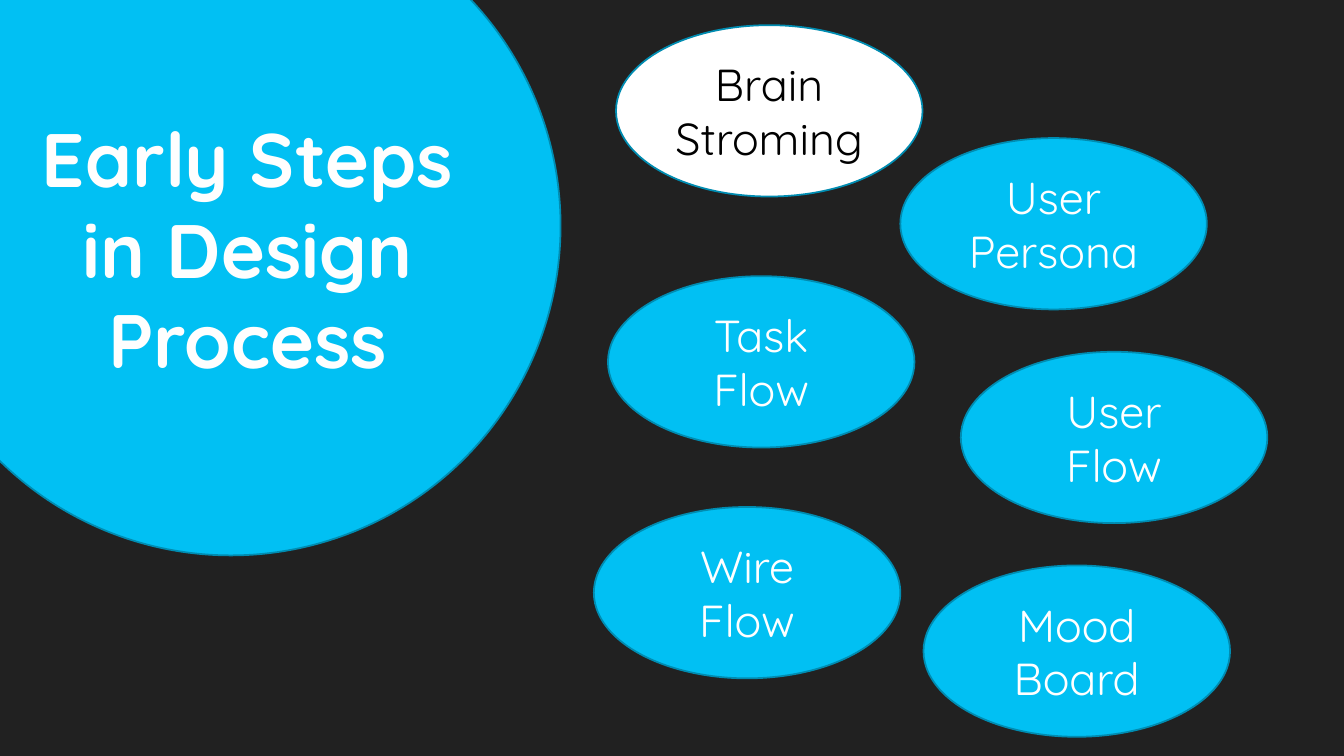
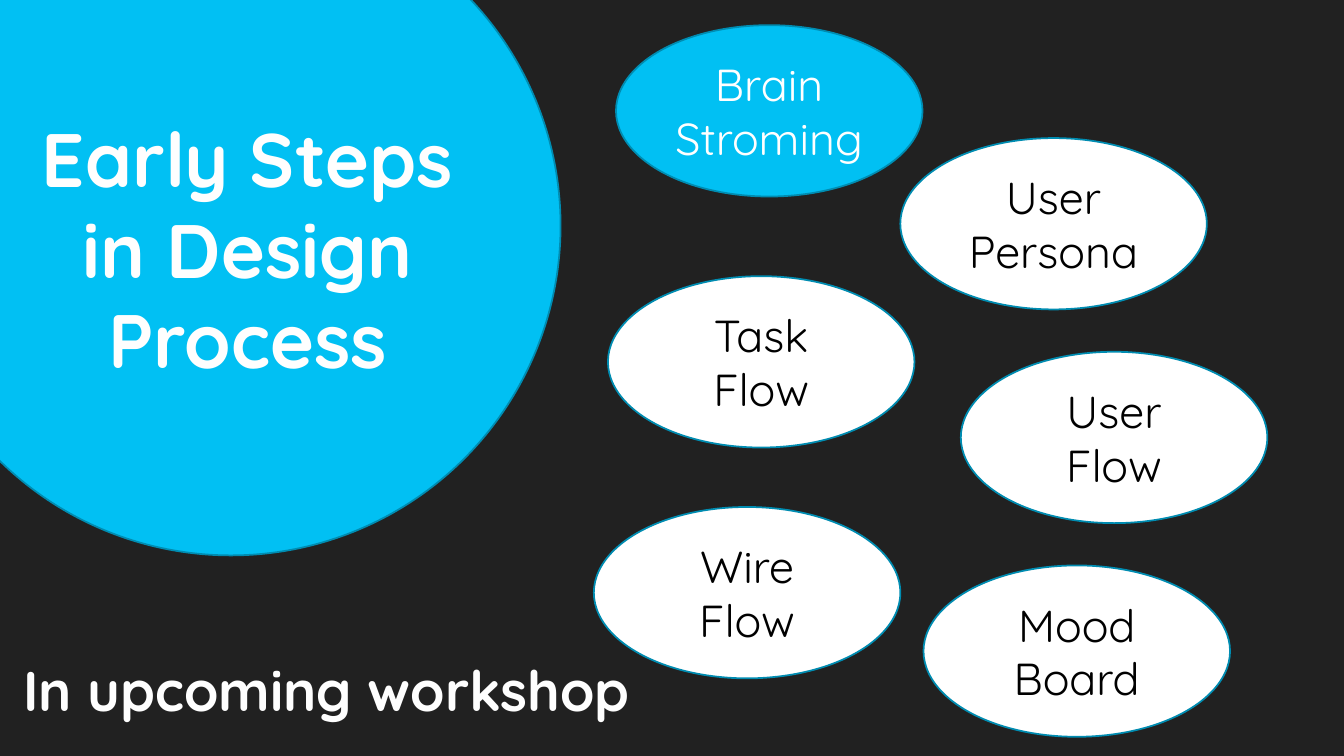
from dataclasses import dataclass

import pptx
import pptx.dml.color
import pptx.enum.shapes
import pptx.enum.text
import pptx.oxml
import pptx.oxml.ns
import pptx.presentation
import pptx.shapes.autoshape
import pptx.slide
import pptx.text.text
import pptx.util

Inches = pptx.util.Inches
Color = pptx.dml.color.RGBColor


# Shared look
@dataclass(frozen=True)
class Theme:
    font: str = "Quicksand"
    background: Color = Color.from_string("212121")
    accent: Color = Color.from_string("01C0F3")
    outline: Color = Color.from_string("008CB1")
    white: Color = Color.from_string("FFFFFF")
    heading: Color = Color.from_string("FEFEFE")
    black: Color = Color.from_string("000000")
    title_size: int = 54
    caption_size: int = 40
    step_size: int = 32
    outline_width: float = 1.25


THEME = Theme()


@dataclass(frozen=True)
class Box:
    left: float
    top: float
    width: float
    height: float


@dataclass(frozen=True)
class Step:
    text: str
    left: float
    top: float


@dataclass(frozen=True)
class StepsSlide:
    highlighted: frozenset[str]
    caption: str = ""


# Content
TITLE = "Early Steps in Design Process"
TITLE_BOX = Box(0.2, 0.36, 4.51, 4.2)
CIRCLE_BOX = Box(-0.98, -1.03, 6.54, 6.54)
CAPTION_BOX = Box(-0.03, 6.09, 6.54, 1.5)
STEP_WIDTH, STEP_HEIGHT = 3.04, 1.7

BRAINSTORMING = "Brain\nStroming"
STEPS = (
    Step("User Persona", 8.93, 1.37),
    Step("User Flow", 9.53, 3.49),
    Step("Task Flow", 6.03, 2.74),
    Step("Wire Flow", 5.89, 5.03),
    Step(BRAINSTORMING, 6.11, 0.25),
    Step("Mood\nBoard", 9.16, 5.61),
)
UPCOMING = frozenset(step.text for step in STEPS) - {BRAINSTORMING}
SLIDES = (
    StepsSlide(frozenset({BRAINSTORMING})),
    StepsSlide(UPCOMING, "In upcoming workshop"),
)


def lengths(box: Box) -> tuple[pptx.util.Length, ...]:
    return tuple(Inches(value) for value in (box.left, box.top, box.width, box.height))


def write_text(frame: pptx.text.text.TextFrame, text: str, size: int,
               color: Color, bold: bool = False) -> None:
    frame.text = text
    frame.word_wrap = True
    frame.auto_size = pptx.enum.text.MSO_AUTO_SIZE.NONE
    frame.vertical_anchor = pptx.enum.text.MSO_ANCHOR.MIDDLE
    for paragraph in frame.paragraphs:
        paragraph.alignment = pptx.enum.text.PP_ALIGN.CENTER
        for run in paragraph.runs:
            run.font.name = THEME.font
            run.font.size = pptx.util.Pt(size)
            run.font.bold = bold
            run.font.color.rgb = color


def add_ellipse(slide: pptx.slide.Slide, box: Box,
                fill: Color) -> pptx.shapes.autoshape.Shape:
    ellipse = slide.shapes.add_shape(pptx.enum.shapes.MSO_SHAPE.OVAL, *lengths(box))
    ellipse.shadow.inherit = False
    ellipse.fill.solid()
    ellipse.fill.fore_color.rgb = fill
    ellipse.line.color.rgb = THEME.outline
    ellipse.line.width = pptx.util.Pt(THEME.outline_width)
    return ellipse


def add_step(slide: pptx.slide.Slide, step: Step, highlighted: bool) -> None:
    fill, color = (THEME.white, THEME.black) if highlighted else (THEME.accent, THEME.white)
    ellipse = add_ellipse(slide, Box(step.left, step.top, STEP_WIDTH, STEP_HEIGHT), fill)
    write_text(ellipse.text_frame, step.text, THEME.step_size, color)


def add_caption(slide: pptx.slide.Slide, text: str) -> None:
    caption = slide.shapes.add_textbox(*lengths(CAPTION_BOX))
    write_text(caption.text_frame, text, THEME.caption_size, THEME.heading, bold=True)
    # Soft text shadow, placed right after the text fill
    shadow = pptx.oxml.parse_xml(
        f'<a:effectLst {pptx.oxml.ns.nsdecls("a")}>'
        '<a:outerShdw blurRad="38100" dist="38100" dir="2700000" algn="tl">'
        '<a:srgbClr val="000000"><a:alpha val="43000"/></a:srgbClr>'
        '</a:outerShdw></a:effectLst>')
    for fill in caption.element.iter(pptx.oxml.ns.qn("a:solidFill")):
        fill.addnext(shadow)
        break


def place_title(slide: pptx.slide.Slide) -> None:
    title = slide.shapes.title
    title.left, title.top, title.width, title.height = lengths(TITLE_BOX)
    write_text(title.text_frame, TITLE, THEME.title_size, THEME.heading, bold=True)
    # Bring the title in front of the circle
    title.element.getparent().append(title.element)


def build_slide(presentation: pptx.presentation.Presentation, content: StepsSlide) -> None:
    layout = presentation.slide_layouts.get_by_name("Title Only")
    slide = presentation.slides.add_slide(layout)
    for step in STEPS:
        add_step(slide, step, step.text in content.highlighted)
    if content.caption:
        add_caption(slide, content.caption)
    add_ellipse(slide, CIRCLE_BOX, THEME.accent)
    place_title(slide)


def main() -> None:
    presentation = pptx.Presentation()
    presentation.slide_width = Inches(13.33)
    presentation.slide_height = Inches(7.5)
    background = presentation.slide_master.background.fill
    background.solid()
    background.fore_color.rgb = THEME.background
    for content in SLIDES:
        build_slide(presentation, content)
    presentation.save("out.pptx")


if __name__ == "__main__":
    main()
